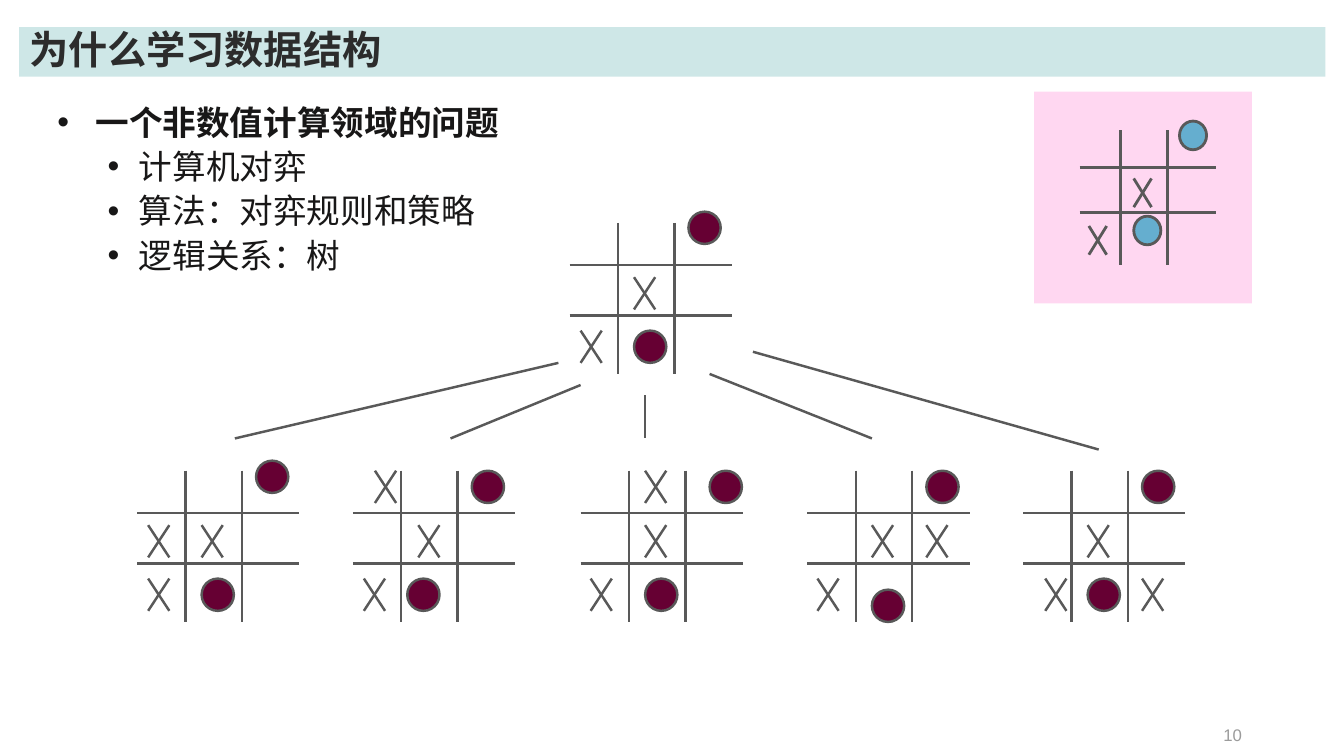
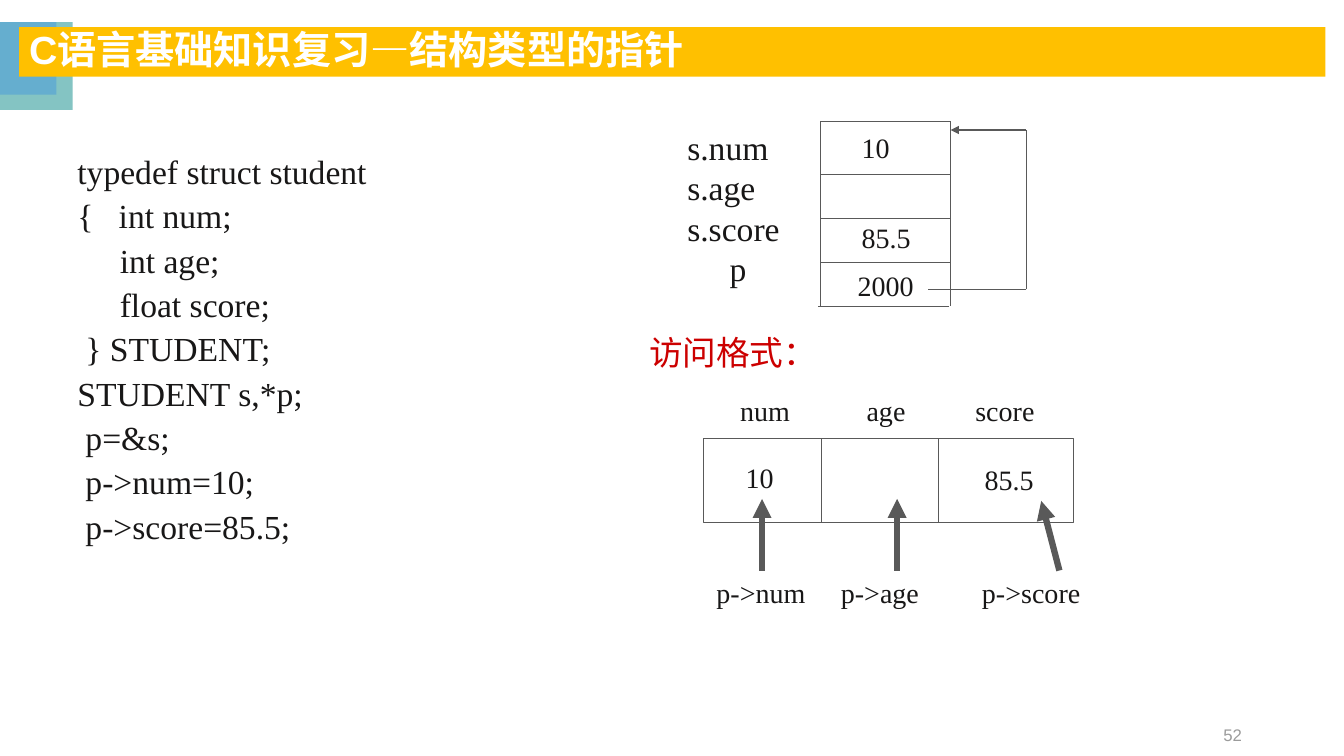
"""Two data structure lecture slides: a game tree and a pointer to a struct."""
from itertools import pairwise

from lxml import etree
from pptx import Presentation
from pptx.dml.color import RGBColor
from pptx.enum import shapes, text
from pptx.oxml.ns import qn
from pptx.util import Inches, Pt

COLORS = {
    "mint": "CEE7E7", "amber": "FFC000", "teal": "84C4C3", "blue": "65AECF",
    "white": "FFFFFF", "title": "2C2C2C", "ink": "181717", "page": "9B9B9B",
    "line": "595959", "wine": "660033", "pink": "FF66CC", "red": "CC0000",
}
SANS, SERIF, CJK = "Arial", "Times New Roman", "Noto Sans CJK SC"
RECT, OVAL = shapes.MSO_SHAPE.RECTANGLE, shapes.MSO_SHAPE.OVAL
LEFT, CENTER, RIGHT = text.PP_ALIGN.LEFT, text.PP_ALIGN.CENTER, text.PP_ALIGN.RIGHT
TOP, MIDDLE = text.MSO_ANCHOR.TOP, text.MSO_ANCHOR.MIDDLE

POINTS = [
    ("一个非数值计算领域的问题", 0.38, 0.38),
    ("计算机对弈", 0.81, 0.31),
    ("算法：对弈规则和策略", 0.81, 0.31),
    ("逻辑关系：树", 0.81, 0.31),
]
BOARD_SIZE = (1.61, 1.5)
BOARD_COLUMNS, BOARD_ROWS = (0.48, 1.04), (0.42, 0.92)
CROSS_SIZE, DISC_SIZE = (0.21, 0.32), (0.32, 0.32)
TREE = [
    {"at": (5.65, 2.21), "discs": [(1.18, -0.11), (0.64, 1.07)],
     "crosses": [(0.64, 0.54), (0.11, 1.07)]},
    {"at": (1.36, 4.67), "discs": [(1.18, -0.1), (0.64, 1.07)],
     "crosses": [(0.11, 0.54), (0.64, 0.54), (0.11, 1.07)]},
    {"at": (3.5, 4.67), "discs": [(1.18, 0), (0.54, 1.07)],
     "crosses": [(0.22, 0), (0.65, 0.54), (0.11, 1.07)]},
    {"at": (5.76, 4.67), "discs": [(1.28, 0), (0.64, 1.07)],
     "crosses": [(0.64, 0), (0.64, 0.54), (0.1, 1.07)]},
    {"at": (8.01, 4.67), "discs": [(1.18, 0), (0.64, 1.18)],
     "crosses": [(0.64, 0.54), (1.18, 0.54), (0.1, 1.07)]},
    {"at": (10.15, 4.67), "discs": [(1.18, 0), (0.64, 1.07)],
     "crosses": [(0.64, 0.54), (0.22, 1.07), (1.18, 1.07)]},
]
INSET = {"at": (10.71, 1.29), "discs": [(1.18, -0.1), (0.64, 0.96)],
         "crosses": [(0.64, 0.54), (0.11, 1.07)]}
BRANCHES = [
    ((5.54, 3.6), (2.33, 4.35)),
    ((5.76, 3.82), (4.47, 4.35)),
    ((6.4, 3.92), (6.4, 4.35)),
    ((7.04, 3.71), (8.65, 4.35)),
    ((7.47, 3.49), (10.9, 4.46)),
]

CODE = [
    ("typedef struct student", 0, 0),
    ("{\tint num;", 0.41, 0.41),
    ("int age;", 0.42, 0),
    ("float score;", 0.42, 0),
    ("} STUDENT;", 0.08, 0),
    ("STUDENT s,*p;", 0, 0),
    ("p=&s;", 0.08, 0),
    ("p->num=10;", 0.08, 0),
    ("p->score=85.5;", 0.08, 0),
]
VARIABLES = [("s.num", 0, 0), ("s.age", 0, 0), ("s.score", 0, 0), ("p", 0.42, 0)]
MEMORY = [("10", 8.45, 1.25), ("85.5", 8.45, 2.14), ("2000", 8.41, 2.61)]
MEMORY_SIDES = [8.14, 9.43]
MEMORY_ROWS = [1.21, 1.73, 2.17, 2.6, 3.04]
POINTER = [(9.21, 2.87), (10.18, 2.87), (10.18, 1.29), (9.43, 1.29)]
RECORD = (6.98, 4.35, 3.67, 0.83)
RECORD_DIVIDERS = [8.15, 9.31]
RECORD_VALUES = [("10", 7.3, 4.52), ("85.5", 9.67, 4.54)]
FIELDS = [
    {"name": "num", "name_x": 7.59, "access_x": 7.55,
     "arrow": ((7.56, 5.66), (7.56, 4.95))},
    {"name": "age", "name_x": 8.79, "access_x": 8.73,
     "arrow": ((8.9, 5.66), (8.9, 4.95))},
    {"name": "score", "name_x": 9.97, "access_x": 10.23,
     "arrow": ((10.51, 5.66), (10.33, 4.97))},
]


def rgb(name):
    return RGBColor.from_string(COLORS[name])


def write(shape, lines, size, color="ink", font=SERIF, bold=False, align=LEFT,
          anchor=TOP, spacing=1.0, bullet=None):
    frame = shape.text_frame
    frame.word_wrap = True
    frame.vertical_anchor = anchor
    for index, (words, left, hanging) in enumerate(lines):
        line = frame.paragraphs[0] if index == 0 else frame.add_paragraph()
        line.text = words
        line.alignment = align
        line.line_spacing = spacing
        line.font.size = Pt(size)
        line.font.bold = bold
        line.font.name = font
        line.font.color.rgb = rgb(color)
        props = line._p.get_or_add_pPr()
        props.set("marL", str(Inches(left)))
        props.set("indent", str(-Inches(hanging)))
        defaults = props.find(qn("a:defRPr"))
        etree.SubElement(defaults, qn("a:ea")).set("typeface", CJK)
        if bullet:
            defaults.addprevious(etree.Element(qn("a:buFont"), typeface=font))
            defaults.addprevious(etree.Element(qn("a:buChar"), char=bullet))
    return frame


def label(slide, box, lines, size, **style):
    holder = slide.shapes.add_textbox(*map(Inches, box))
    return write(holder, lines, size, **style)


def block(slide, box, fill=None, outline=None, kind=RECT):
    shape = slide.shapes.add_shape(kind, *map(Inches, box))
    shape.shadow.inherit = False
    if fill:
        shape.fill.solid()
        shape.fill.fore_color.rgb = rgb(fill)
    else:
        shape.fill.background()
    if outline:
        shape.line.color.rgb = rgb("line")
        shape.line.width = Pt(outline)
    else:
        shape.line.fill.background()
    return shape


def stroke(slide, start, end, width, arrow=False):
    line = slide.shapes.add_connector(
        shapes.MSO_CONNECTOR.STRAIGHT, *map(Inches, (*start, *end)))
    line.line.color.rgb = rgb("line")
    line.line.width = Pt(width)
    props = line._element.spPr
    if arrow:
        etree.SubElement(props.find(qn("a:ln")), qn("a:tailEnd"), type="triangle")
    etree.SubElement(props, qn("a:effectLst"))


def add_slide(deck, title, page, band, title_color, corner=()):
    slide = deck.slides.add_slide(deck.slide_layouts[6])
    for box, fill in corner:
        block(slide, box, fill)
    header = block(slide, (0.19, 0.27, 12.96, 0.49), band)
    write(header, [(title, 0, 0)], 28, title_color, SANS, True,
          anchor=MIDDLE, spacing=0.9)
    label(slide, (9.42, 7.09, 3, 0.4), [(page, 0, 0)], 12, color="page",
          font=SANS, align=RIGHT, anchor=MIDDLE)
    return slide


def draw_board(slide, board, scale=(1, 1), disc="wine", width=1.75):
    def place(x, y):
        return board["at"][0] + x * scale[0], board["at"][1] + y * scale[1]

    across, down = BOARD_SIZE
    for y in BOARD_ROWS:
        stroke(slide, place(0, y), place(across, y), width)
    for x in BOARD_COLUMNS:
        stroke(slide, place(x, 0), place(x, down), width)
    for x, y in board["discs"]:
        size = [side * factor for side, factor in zip(DISC_SIZE, scale)]
        block(slide, (*place(x, y), *size), disc, width, OVAL)
    for x, y in board["crosses"]:
        right, bottom = x + CROSS_SIZE[0], y + CROSS_SIZE[1]
        stroke(slide, place(x, y), place(right, bottom), width)
        stroke(slide, place(right, y), place(x, bottom), width)


def game_tree(deck):
    slide = add_slide(deck, "为什么学习数据结构", "10", "mint", "title")
    points = label(slide, (0.47, 0.92, 6.01, 1.79), POINTS, 24, font=SANS,
                   spacing=1.1, bullet="•")
    points.paragraphs[0].font.bold = True
    for point in points.paragraphs[1:]:
        point.level = 1
    for board in TREE:
        draw_board(slide, board)
    for start, end in BRANCHES:
        stroke(slide, start, end, 1.75)
    panel = block(slide, (10.26, 0.91, 2.16, 2.1), "pink")
    tint = panel._element.spPr.find(qn("a:solidFill"))[0]
    etree.SubElement(tint, qn("a:alpha"), val="26000")
    draw_board(slide, INSET, (0.84, 0.89), "blue", 2)


def draw_memory(slide):
    label(slide, (6.72, 1.21, 2.03, 1.72), VARIABLES, 24)
    left, right = MEMORY_SIDES
    top, bottom = MEMORY_ROWS[0], MEMORY_ROWS[-1]
    for x in MEMORY_SIDES:
        stroke(slide, (x, top), (x, bottom), 0.75)
    for y in MEMORY_ROWS:
        shift = 0.02 if y == bottom else 0
        stroke(slide, (left - shift, y), (right - shift, y), 0.75)
    for value, x, y in MEMORY:
        label(slide, (x, y, 1.08, 0.43), [(value, 0, 0)], 20)
    legs = list(pairwise(POINTER))
    for leg in legs:
        stroke(slide, *leg, 0.75, arrow=leg == legs[-1])


def draw_record(slide):
    block(slide, RECORD, outline=0.75)
    top, bottom = RECORD[1], RECORD[1] + RECORD[3]
    for x in RECORD_DIVIDERS:
        stroke(slide, (x, top), (x, bottom), 0.75)
    for value, x, y in RECORD_VALUES:
        label(slide, (x, y, 0.83, 0.43), [(value, 0, 0)], 20)
    for field in FIELDS:
        captions = [(field["name"], field["name_x"], 3.85),
                    ("p->" + field["name"], field["access_x"], 5.66)]
        for words, middle, y in captions:
            label(slide, (middle - 0.7, y, 1.4, 0.43), [(words, 0, 0)], 20,
                  align=CENTER)
        stroke(slide, *field["arrow"], 4.5, arrow=True)


def struct_pointer(deck):
    corner = [((0, 0.22, 0.72, 0.87), "teal"), ((0, 0.22, 0.56, 0.72), "blue")]
    slide = add_slide(deck, "C语言基础知识复习—结构类型的指针", "52", "amber",
                      "white", corner)
    listing = block(slide, (0.67, 1.41, 4.54, 4.47), "white")
    write(listing, CODE, 24, spacing=1.1)
    draw_memory(slide)
    label(slide, (6.34, 3.24, 1.75, 0.5), [("访问格式：", 0, 0)], 24,
          color="red", font=CJK)
    draw_record(slide)


def main():
    deck = Presentation()
    deck.slide_width, deck.slide_height = Inches(40 / 3), Inches(7.5)
    game_tree(deck)
    struct_pointer(deck)
    deck.save("out.pptx")


if __name__ == "__main__":
    main()
